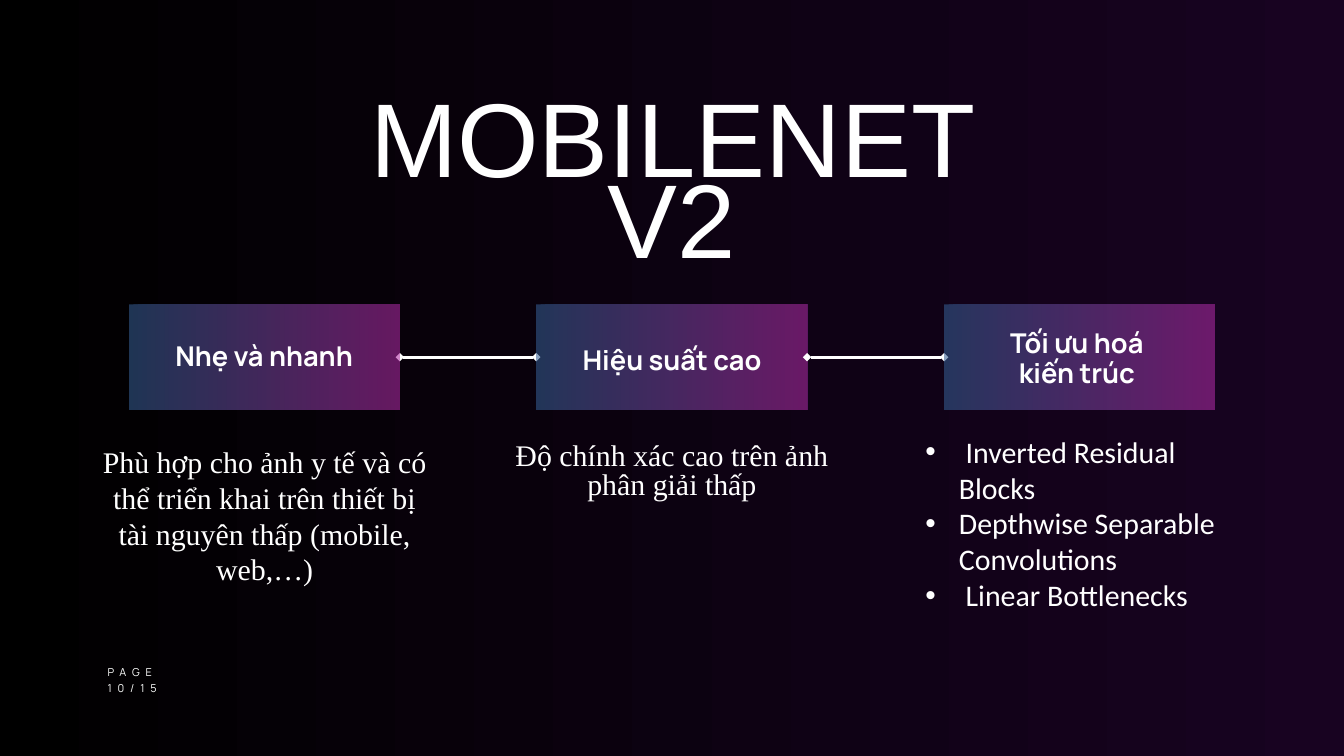
from lxml import etree
from pptx import Presentation
from pptx import util as u
from pptx.dml.color import RGBColor
from pptx.enum import shapes, text
from pptx.oxml.ns import qn

HUES = {"white": "FFFFFF", "black": "000000", "night": "180321",
        "blue": "365E93", "pink": "AF2BA5"}

MID, LEFT = text.PP_ALIGN.CENTER, text.PP_ALIGN.LEFT

# Text looks: font values, alignment, line spacing in points
LOOKS = {
    "title": ({"name": "Arial", "size": u.Pt(112.3)}, MID, 86.9),
    "head": ({"name": "Manrope", "size": u.Pt(29.2), "bold": True}, MID, 32.5),
    "body": ({"name": "Times New Roman", "size": u.Pt(32)}, MID, None),
    "tight": ({"name": "Times New Roman", "size": u.Pt(32)}, MID, 31.1),
    "list": ({"name": "Calibri", "size": u.Pt(32)}, LEFT, None),
    "page": ({"name": "Manrope", "size": u.Pt(11.7)}, LEFT, 16.3),
}

# Boxes
COLS = (1.92, 7.98, 14.05)
TOP, WIDE, HIGH = 4.53, 4.03, 1.57

# Text: look, place, lines
TEXTS = [
    ("title", (4.71, 1.75, 10.58, 1.33), ["MOBILENET V2"]),
    ("head", (2.25, 5.09, 3.36, 0.45), ["Nhẹ và nhanh"]),
    ("head", (8.32, 5.14, 3.36, 0.45), ["Hiệu suất cao"]),
    ("head", (14.44, 4.89, 3.25, 0.9), ["Tối ưu hoá ", "kiến trúc "]),
    ("body", (1.51, 6.6, 4.86, 2.15),
     ["Phù hợp cho ảnh y tế và có thể triển khai trên thiết bị "
      "tài nguyên thấp (mobile, web,…)"]),
    ("tight", (7.57, 6.6, 4.86, 0.87),
     ["Độ chính xác cao trên ảnh phân giải thấp"]),
    ("list", (13.77, 6.45, 4.86, 3.13),
     [" Inverted Residual Blocks", "Depthwise Separable Convolutions",
      " Linear Bottlenecks"]),
    ("page", (1.6, 9.88, 1.45, 0.43), ["PAGE", "10/15"]),
]


def hue(name):
    return RGBColor.from_string(HUES[name])


def blend(fill, *names):
    """Fill with a gradient from left to right."""
    fill.gradient()
    fill.gradient_angle = 0
    for stop, name in zip(fill.gradient_stops, names):
        stop.color.rgb = hue(name)


def add_box(slide, left):
    box = slide.shapes.add_shape(
        shapes.MSO_SHAPE.RECTANGLE,
        *map(u.Inches, (left, TOP, WIDE, HIGH)))
    box.shadow.inherit = False
    box.line.fill.background()
    blend(box.fill, "blue", "pink")
    for tone in box.fill._xPr.iter(qn("a:srgbClr")):
        etree.SubElement(tone, qn("a:alpha"), val="56000")
    return box


def add_link(slide):
    """Add a line with diamond ends, to be joined to boxes later."""
    link = slide.shapes.add_connector(
        shapes.MSO_CONNECTOR.STRAIGHT, 0, 0, 0, 0)
    link.line.width = u.Pt(3)
    link.line.color.rgb = hue("white")
    edge = link.line._get_or_add_ln()
    for end in ("a:headEnd", "a:tailEnd"):
        etree.SubElement(edge, qn(end), type="diamond")
    etree.SubElement(edge.getparent(), qn("a:effectLst"))
    return link


def join(link, start, stop):
    link.begin_connect(start, 3)
    link.end_connect(stop, 1)


def add_dot(para):
    props = para._p.get_or_add_pPr()
    props.set("marL", str(u.Inches(0.5)))
    props.set("indent", str(u.Inches(-0.5)))
    etree.SubElement(props, qn("a:buFont"), typeface="Arial")
    etree.SubElement(props, qn("a:buChar"), char="•")


def add_text(slide, look, place, lines):
    font, align, gap = LOOKS[look]
    frame = slide.shapes.add_textbox(*map(u.Inches, place)).text_frame
    frame_look = {"word_wrap": True,
                  "auto_size": text.MSO_AUTO_SIZE.SHAPE_TO_FIT_TEXT,
                  "margin_left": 0, "margin_right": 0,
                  "margin_top": 0, "margin_bottom": 0}
    for key, value in frame_look.items():
        setattr(frame, key, value)
    for i, line in enumerate(lines):
        para = frame.add_paragraph() if i else frame.paragraphs[0]
        para.alignment = align
        if gap:
            para.line_spacing = u.Pt(gap)
        if look == "list":
            add_dot(para)
        run = para.add_run()
        run.text = line
        for key, value in font.items():
            setattr(run.font, key, value)
        run.font.color.rgb = hue("white")
        if look == "page":
            run._r.get_or_add_rPr().set("spc", "630")


def main():
    deck = Presentation()
    deck.slide_width, deck.slide_height = u.Inches(20), u.Inches(11.25)
    slide = deck.slides.add_slide(deck.slide_layouts[6])
    blend(slide.background.fill, "black", "night")

    # Chain of boxes: the first link lies behind, the second between
    link_a = add_link(slide)
    box_a, box_b = (add_box(slide, left) for left in COLS[:2])
    link_b = add_link(slide)
    box_c = add_box(slide, COLS[2])
    join(link_a, box_a, box_b)
    join(link_b, box_b, box_c)

    # Title, headings, details and page mark
    for look, place, lines in TEXTS:
        add_text(slide, look, place, lines)

    deck.save("out.pptx")


if __name__ == "__main__":
    main()
